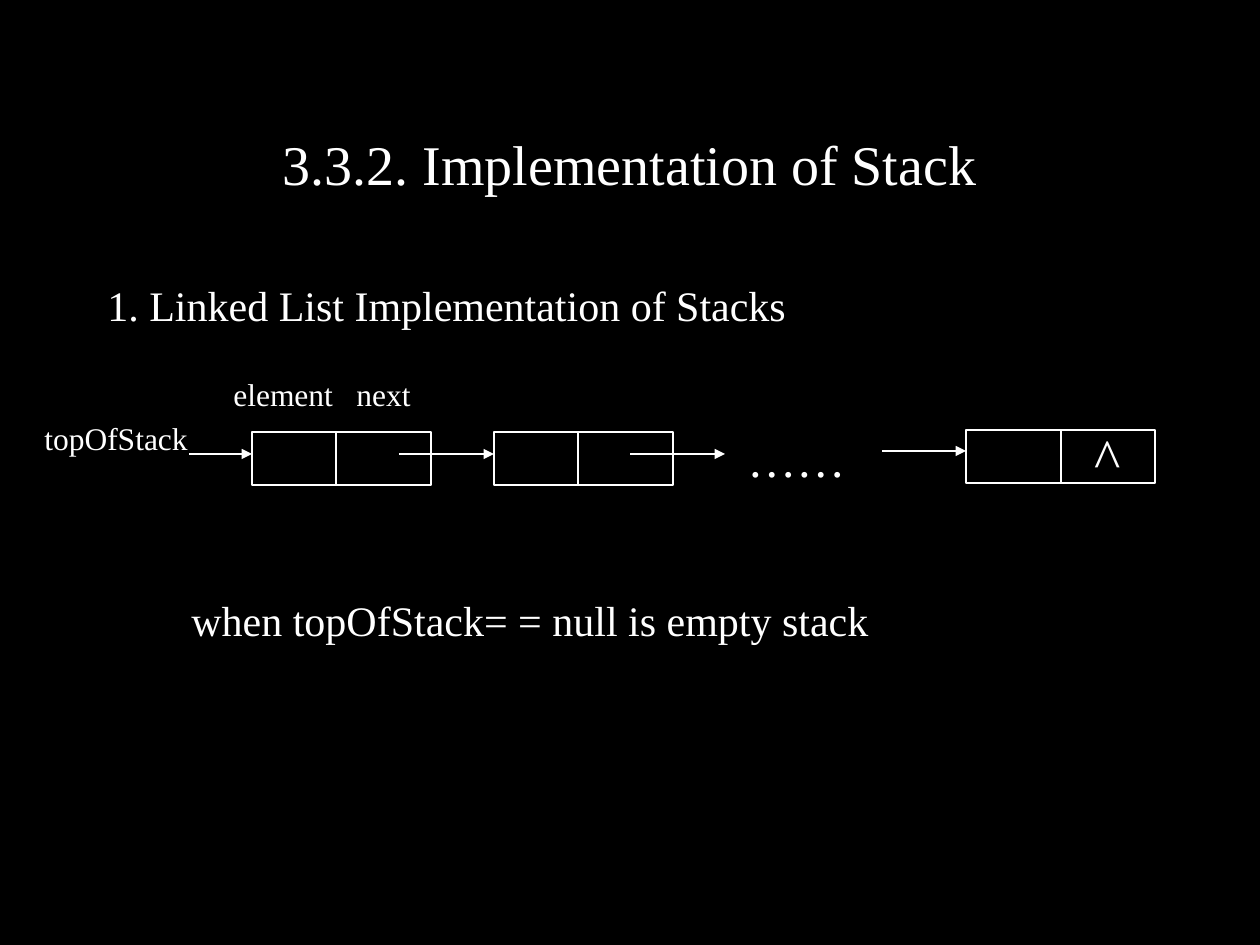
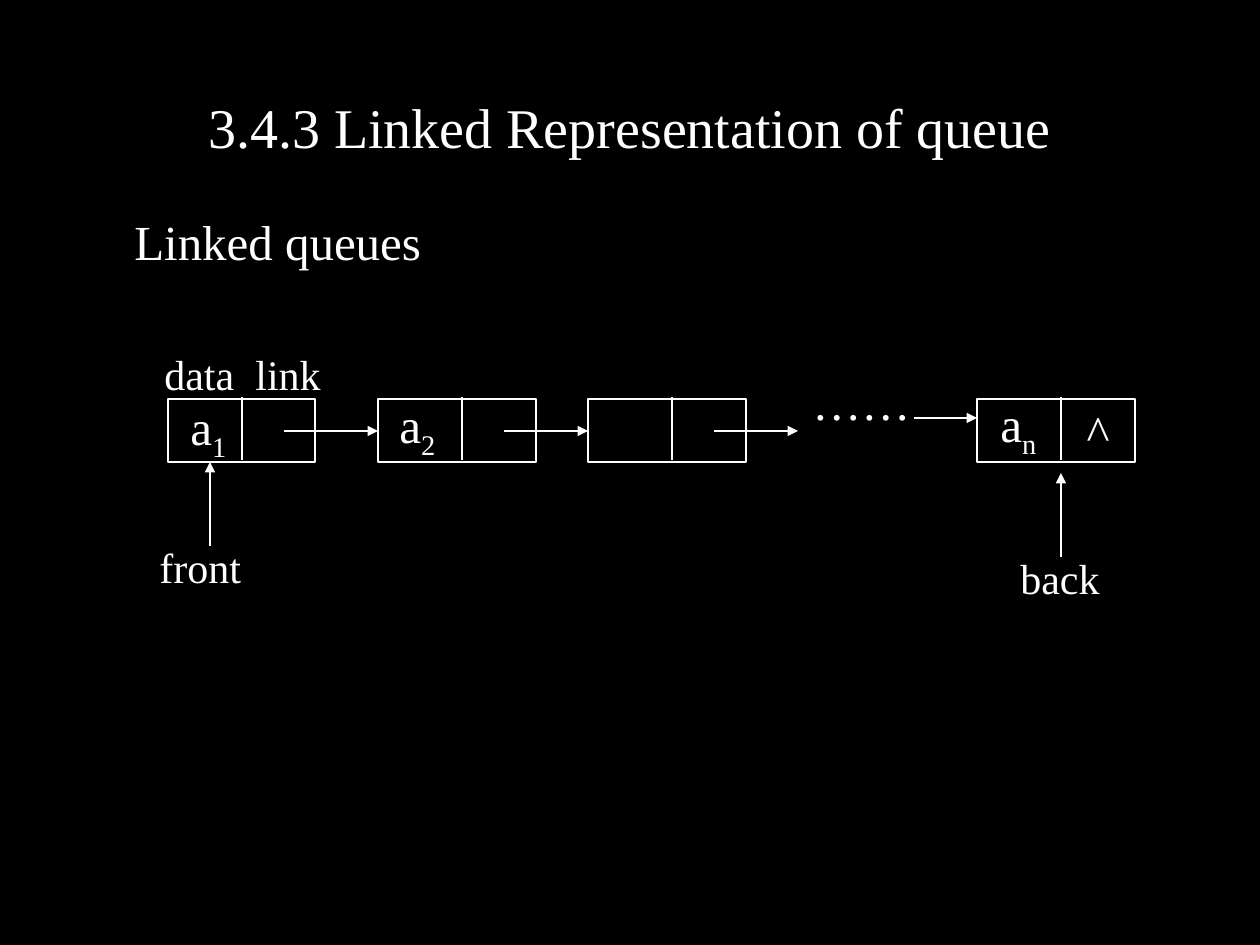
from lxml import etree
from pptx import Presentation
from pptx.dml.color import RGBColor
from pptx.enum.shapes import MSO_CONNECTOR, MSO_SHAPE
from pptx.enum.text import MSO_ANCHOR, PP_ALIGN
from pptx.oxml.ns import qn
from pptx.util import Emu, Pt

BLACK = RGBColor(0x00, 0x00, 0x00)
WHITE = RGBColor(0xFF, 0xFF, 0xFF)
FONT = "Times New Roman"
LINE_WIDTH = Pt(0.75)
TITLE_SIZE = 32
TITLE_LEFT, TITLE_TOP, TITLE_WIDTH = 95, 84, 1070

# nodes: left, top, width, divider offset, text of the right cell
# arrows: from x, from y, to x, to y
# labels: text, subscript, left, top, width, size
SLIDES = [
    {
        "title": "3.3.2. Implementation of Stack",
        "title_height": 158,
        "node_height": 53,
        "divider_rise": 0,
        "end_mark_size": 32,
        "nodes": [
            (252, 432, 179, 84, ""),
            (494, 432, 179, 84, ""),
            (966, 430, 189, 95, "^"),
        ],
        "arrows": [
            (189, 454, 252, 454),
            (399, 454, 494, 454),
            (630, 454, 725, 454),
            (882, 451, 966, 451),
        ],
        "labels": [
            ("1. Linked List Implementation of Stacks", "", 95, 273, 1070, 24),
            ("topOfStack", "", 32, 413, 189, 18),
            ("element", "", 221, 369, 125, 18),
            ("next", "", 344, 369, 87, 18),
            ("……", "", 735, 422, 168, 28),
            ("when topOfStack= = null is empty stack", "", 179, 588, 872, 24),
        ],
    },
    {
        "title": "3.4.3 Linked Representation of queue",
        "title_height": 84,
        "node_height": 63,
        "divider_rise": 2,
        "end_mark_size": 28,
        "nodes": [
            (168, 399, 147, 74, ""),
            (378, 399, 158, 84, ""),
            (588, 399, 158, 84, ""),
            (977, 399, 158, 84, "^"),
        ],
        "arrows": [
            (284, 431, 378, 431),
            (504, 431, 588, 431),
            (714, 431, 798, 431),
            (914, 418, 977, 418),
            (210, 546, 210, 462),
            (1061, 557, 1061, 473),
        ],
        "labels": [
            ("Linked queues", "", 122, 205, 1043, 28),
            ("data", "", 152, 342, 100, 24),
            ("link", "", 243, 342, 110, 24),
            ("……", "", 800, 365, 146, 28),
            ("front", "", 147, 535, 158, 24),
            ("back", "", 1008, 546, 116, 24),
            ("a", "1", 178, 390, 80, 28),
            ("a", "2", 387, 388, 80, 28),
            ("a", "n", 988, 387, 80, 28),
        ],
    },
]


def px(length):
    return Emu(round(length * 914400 / 126))


def style(paragraph, size, align=PP_ALIGN.LEFT):
    paragraph.alignment = align
    font = paragraph.font
    font.name, font.size, font.color.rgb = FONT, Pt(size), WHITE


def add_title(slide, text, height):
    title = slide.shapes.title
    title.left, title.top = px(TITLE_LEFT), px(TITLE_TOP)
    title.width, title.height = px(TITLE_WIDTH), px(height)
    title.text_frame.text = text
    title.text_frame.vertical_anchor = MSO_ANCHOR.MIDDLE
    style(title.text_frame.paragraphs[0], TITLE_SIZE, PP_ALIGN.CENTER)


def add_label(slide, text, subscript, left, top, width, size):
    height = size * 2 + 14
    frame = slide.shapes.add_textbox(px(left), px(top), px(width), px(height)).text_frame
    frame.word_wrap = True
    paragraph = frame.paragraphs[0]
    paragraph.add_run().text = text
    if subscript:
        lowered = paragraph.add_run()
        lowered.text = subscript
        lowered._r.get_or_add_rPr().set("baseline", "-25000")
    style(paragraph, size)


def add_line(slide, x1, y1, x2, y2, arrow=False):
    line = slide.shapes.add_connector(MSO_CONNECTOR.STRAIGHT, px(x1), px(y1), px(x2), px(y2))
    line.line.color.rgb = WHITE
    line.line.width = LINE_WIDTH
    if arrow:
        etree.SubElement(line.line._get_or_add_ln(), qn("a:tailEnd"), type="triangle")
    etree.SubElement(line._element.spPr, qn("a:effectLst"))


def add_node(slide, node, height, divider_rise, mark_size):
    """Draw a list node: a box split in two, with any mark centred in the right cell."""
    left, top, width, divider, mark = node
    box = slide.shapes.add_shape(MSO_SHAPE.RECTANGLE, px(left), px(top), px(width), px(height))
    box.shadow.inherit = False
    box.fill.background()
    box.line.color.rgb = WHITE
    box.line.width = LINE_WIDTH
    if mark:
        frame = box.text_frame
        frame.margin_left, frame.margin_right = px(divider), 0
        frame.vertical_anchor = MSO_ANCHOR.MIDDLE
        frame.text = mark
        style(frame.paragraphs[0], mark_size, PP_ALIGN.CENTER)
    x, y = left + divider, top - divider_rise
    add_line(slide, x, y, x, y + height)


def main():
    deck = Presentation()
    deck.slide_width, deck.slide_height = px(1260), px(945)
    background = deck.slide_master.background.fill
    background.solid()
    background.fore_color.rgb = BLACK
    title_only = deck.slide_layouts[5]

    for content in SLIDES:
        slide = deck.slides.add_slide(title_only)
        add_title(slide, content["title"], content["title_height"])
        for node in content["nodes"]:
            add_node(slide, node, content["node_height"],
                     content["divider_rise"], content["end_mark_size"])
        for arrow in content["arrows"]:
            add_line(slide, *arrow, arrow=True)
        for label in content["labels"]:
            add_label(slide, *label)

    deck.save("out.pptx")


if __name__ == "__main__":
    main()
